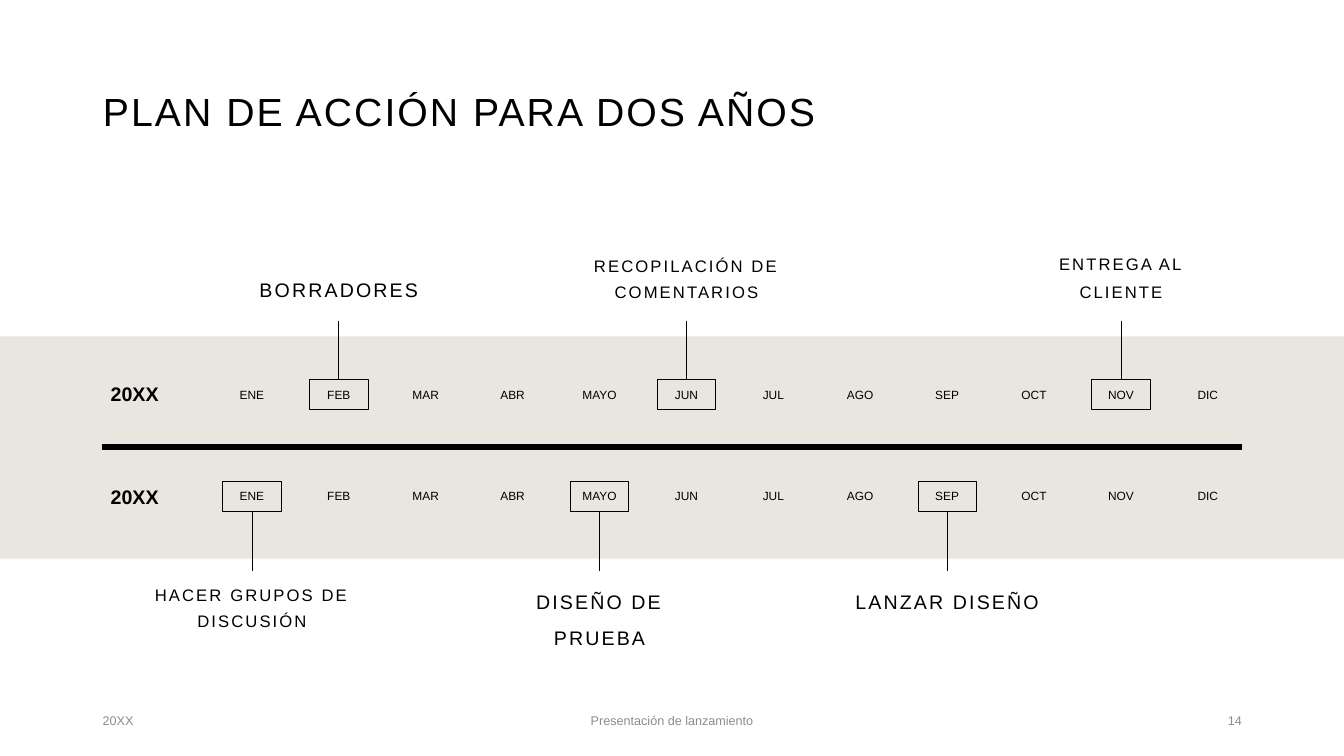
import pptx
import pptx.util
import pptx.dml.color
import pptx.enum.shapes
import pptx.enum.text
import pptx.oxml.ns
import pptx.oxml.xmlchemy
from dataclasses import dataclass
from pptx.util import Cm

TITLE = "PLAN DE ACCIÓN PARA DOS AÑOS"
MONTHS = ["ENE", "FEB", "MAR", "ABR", "MAYO", "JUN",
          "JUL", "AGO", "SEP", "OCT", "NOV", "DIC"]
YEARS = [
    {"name": "20XX", "year_top": 9.32, "month_top": 9.73, "frame_top": 9.55,
     "line": (8.08, 9.55), "label_top": 6.17, "anchor": "BOTTOM",
     "milestones": [("FEB", "BORRADORES", 14, 1.5),
                    ("JUN", "RECOPILACIÓN DE COMENTARIOS", 11.9, 1.3),
                    ("NOV", "ENTREGA AL CLIENTE", 11.9, 1.4)]},
    {"name": "20XX", "year_top": 11.91, "month_top": 12.29, "frame_top": 12.12,
     "line": (12.88, 14.38), "label_top": 14.45, "anchor": "TOP",
     "milestones": [("ENE", "HACER GRUPOS DE DISCUSIÓN", 11.9, 1.3),
                    ("MAYO", "DISEÑO DE PRUEBA", 14, 1.5),
                    ("SEP", "LANZAR DISEÑO", 14, 1.5)]},
]
FOOTER = [("20XX", 2.34, 7.62, "LEFT"),
          ("Presentación de lanzamiento", 11.22, 11.43, "CENTER"),
          ("14", 23.93, 7.62, "RIGHT")]


@dataclass(frozen=True)
class Theme:
    font: str = "Arial"
    ink: str = "000000"
    band: str = "E9E6DF"
    muted: str = "8C8C8C"
    title: float = 28
    year: float = 14
    month: float = 8.5
    footer: float = 9
    spacing: str = "150"
    thin: float = 0.5


THEME = Theme()
FIRST_MONTH, MONTH_STEP = 6.35, 2.19
MONTH_WIDTH, MONTH_HEIGHT = 1.78, 0.56
FRAME_WIDTH, FRAME_HEIGHT = 1.47, 0.76
LABEL_WIDTH, LABEL_HEIGHT = 5.72, 1.55


def color(code):
    return pptx.dml.color.RGBColor.from_string(code)


def write(box, text, size, align="LEFT", anchor="MIDDLE", leading=None,
          ink=THEME.ink, bold=False, spaced=False):
    frame = box.text_frame
    frame.word_wrap = True
    frame.auto_size = pptx.enum.text.MSO_AUTO_SIZE.NONE
    frame.vertical_anchor = getattr(pptx.enum.text.MSO_ANCHOR, anchor)
    frame.text = text
    para = frame.paragraphs[0]
    para.alignment = getattr(pptx.enum.text.PP_ALIGN, align)
    if leading:
        para.line_spacing = leading
    font = para.font
    font.name = THEME.font
    font.size = pptx.util.Pt(size)
    font.bold = bold
    font.color.rgb = color(ink)
    if spaced:
        for span in para.runs:
            span._r.get_or_add_rPr().set("spc", THEME.spacing)


def add_text(page, left, top, width, height, text, size, **style):
    box = page.shapes.add_textbox(Cm(left), Cm(top), Cm(width), Cm(height))
    write(box, text, size, **style)


def add_rect(page, left, top, width, height, fill=None, line=None):
    rect = page.shapes.add_shape(pptx.enum.shapes.MSO_SHAPE.RECTANGLE,
                                 Cm(left), Cm(top), Cm(width), Cm(height))
    rect.shadow.inherit = False
    if fill:
        rect.fill.solid()
        rect.fill.fore_color.rgb = color(fill)
    else:
        rect.fill.background()
    if line:
        rect.line.color.rgb = color(THEME.ink)
        rect.line.width = pptx.util.Pt(line)
    else:
        rect.line.fill.background()


def add_stem(page, x, top, bottom):
    stem = page.shapes.add_connector(pptx.enum.shapes.MSO_CONNECTOR.STRAIGHT,
                                     Cm(x), Cm(top), Cm(x), Cm(bottom))
    stem.line.color.rgb = color(THEME.ink)
    stem.line.width = pptx.util.Pt(THEME.thin)
    effects = pptx.oxml.xmlchemy.OxmlElement("a:effectLst")
    stem._element.spPr.append(effects)


def add_year(page, year):
    add_text(page, 2.54, year["year_top"], 2.03, 1.27, year["name"],
             THEME.year, leading=0.9, bold=True)
    centers = {month: FIRST_MONTH + index * MONTH_STEP
               for index, month in enumerate(MONTHS)}
    for month, center in centers.items():
        add_text(page, center - MONTH_WIDTH / 2, year["month_top"],
                 MONTH_WIDTH, MONTH_HEIGHT, month, THEME.month,
                 align="CENTER", anchor="TOP", leading=0.7)
    for month, label, size, leading in year["milestones"]:
        center = centers[month]
        add_rect(page, center - FRAME_WIDTH / 2, year["frame_top"],
                 FRAME_WIDTH, FRAME_HEIGHT, line=THEME.thin)
        add_stem(page, center, *year["line"])
        add_text(page, center - LABEL_WIDTH / 2, year["label_top"],
                 LABEL_WIDTH, LABEL_HEIGHT, label, size, align="CENTER",
                 anchor=year["anchor"], leading=leading, spaced=True)


def main():
    deck = pptx.Presentation()
    deck.slide_width, deck.slide_height = Cm(33.87), Cm(19.05)
    page = deck.slides.add_slide(deck.slide_layouts[5])
    title = page.shapes.title
    title.left, title.top = Cm(2.34), Cm(1.02)
    title.width, title.height = Cm(29.21), Cm(3.68)
    write(title, TITLE, THEME.title, leading=0.9, spaced=True)

    add_rect(page, 0, 8.48, 33.87, 5.6, fill=THEME.band)
    add_rect(page, 2.59, 11.2, 28.7, 0.13, fill=THEME.ink, line=1)
    for year in YEARS:
        add_year(page, year)
    for text, left, width, align in FOOTER:
        add_text(page, left, 17.65, width, 1.02, text, THEME.footer,
                 align=align, ink=THEME.muted)
    deck.save("out.pptx")


if __name__ == "__main__":
    main()
